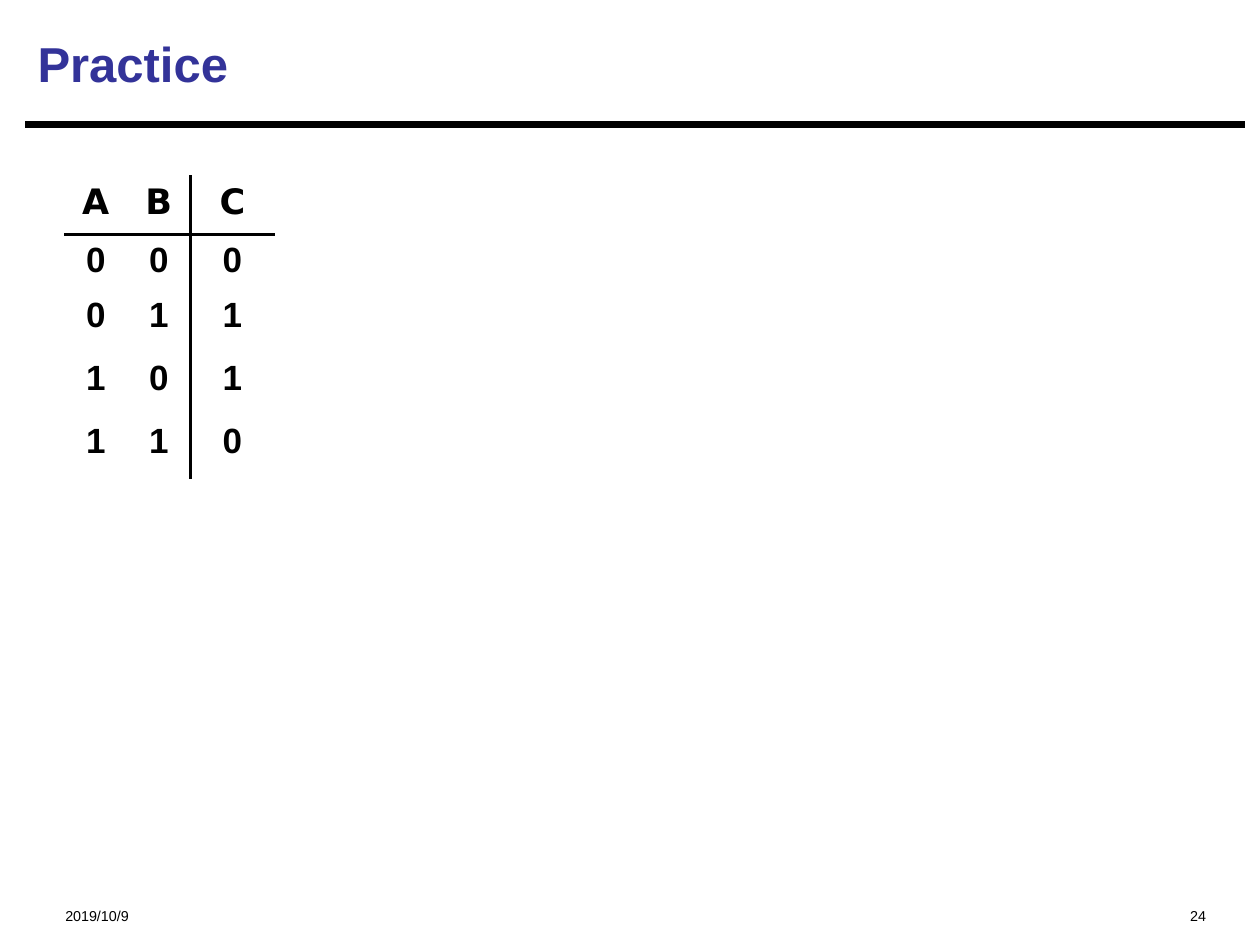
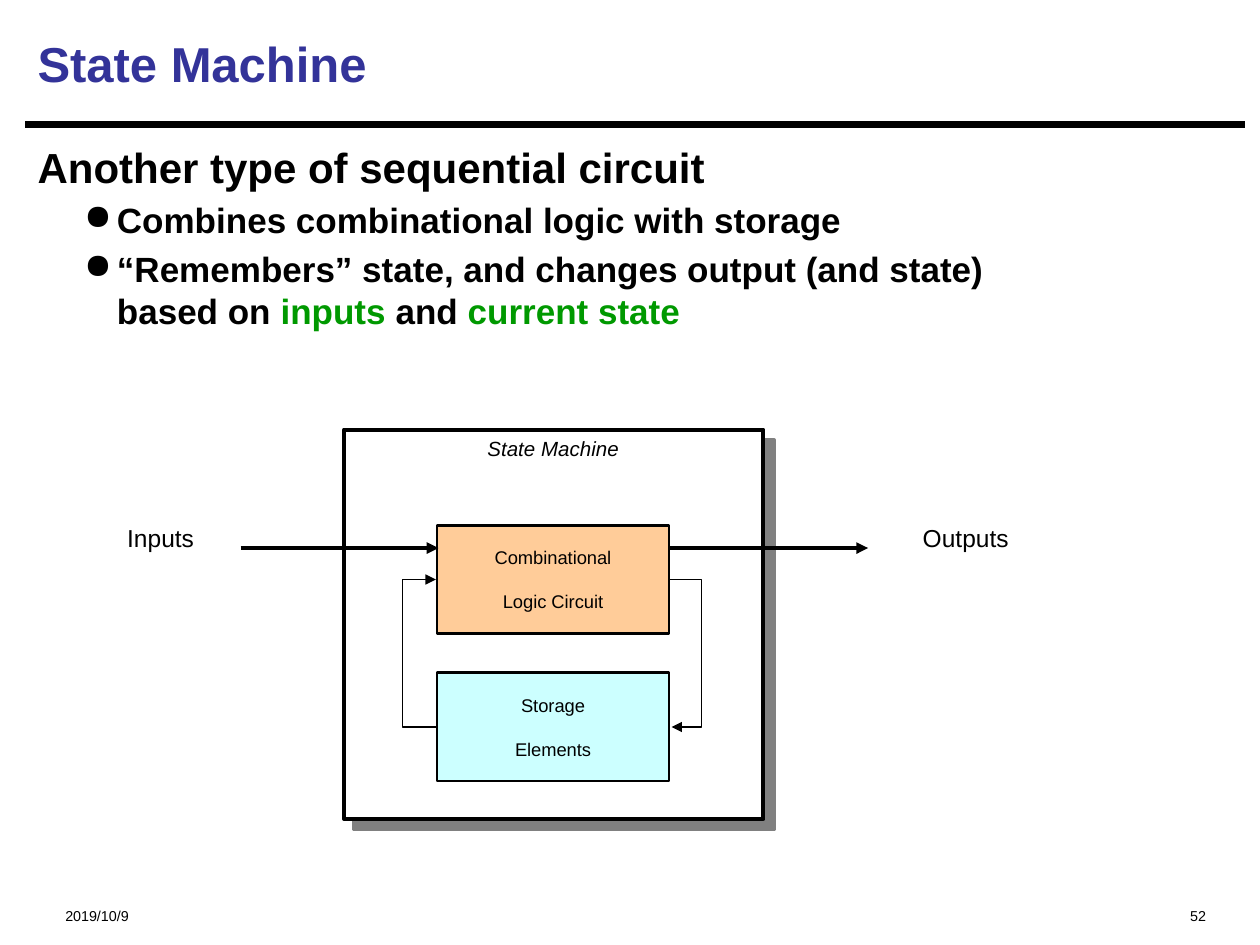
from lxml import etree
from pptx import Presentation
from pptx.dml.color import RGBColor
from pptx.enum.shapes import MSO_CONNECTOR, MSO_SHAPE
from pptx.enum.text import MSO_ANCHOR, PP_ALIGN
from pptx.oxml import parse_xml
from pptx.oxml.ns import nsdecls, qn
from pptx.util import Inches, Pt

BLACK = RGBColor(0x00, 0x00, 0x00)
WHITE = RGBColor(0xFF, 0xFF, 0xFF)
NAVY = RGBColor(0x33, 0x33, 0x99)
GREEN = RGBColor(0x00, 0x99, 0x00)
PEACH = RGBColor(0xFF, 0xCC, 0x99)
AQUA = RGBColor(0xCC, 0xFF, 0xFF)
FONT, HEAD_FONT = "Arial", "DejaVu Sans"
LEFT, CENTER, RIGHT = PP_ALIGN.LEFT, PP_ALIGN.CENTER, PP_ALIGN.RIGHT

# Content
DATE = "2019/10/9"
TRUTH_TABLE = ["ABC", "000", "011", "101", "110"]
COL_WIDTHS = [0.5, 0.5, 0.67]
ROW_HEIGHTS = [0.47, 0.44, 0.5, 0.5, 0.5]
# Body: (level, runs of (text, colour))
BODY = [
    (0, [("Another type of sequential circuit", BLACK)]),
    (1, [("Combines combinational logic with storage", BLACK)]),
    (1, [("“Remembers” state, and changes output (and state) \vbased on ", BLACK),
         ("inputs", GREEN), (" and ", BLACK), ("current state", GREEN)]),
]
# Diagram labels: text, box, size, italic
LABELS = [
    ("State Machine", (3.4, 3.41, 1.98, 0.43), 11.7, True),
    ("Inputs", (0.72, 4.1, 1.11, 0.5), 14, False),
    ("Outputs", (6.98, 4.1, 1.37, 0.5), 14, False),
]
MACHINE_BOX = (2.73, 3.41, 3.33, 3.09)
BLOCK_X, BLOCK_W, BLOCK_H = 3.47, 1.84, 0.86
# Blocks: lines, top, fill
BLOCKS = [
    (("Combinational", "Logic Circuit"), 4.17, PEACH),
    (("Storage", "Elements"), 5.34, AQUA),
]
FLOW_Y, FLOW_LENGTH = 4.35, 1.57
FLOW_STARTS = [1.91, 5.32]
# Feedback loops: start, end, bend as a multiple of the connector's width
LOOPS = [
    ((5.32, 4.6), (5.33, 5.77), 25),
    ((3.47, 5.77), (3.46, 4.6), 28),
]


def add_run(p, text, size, color=BLACK, bold=False, italic=False, font=FONT):
    for i, part in enumerate(text.split("\v")):
        if i:
            p.add_line_break()
        r = p.add_run()
        r.text = part
        f = r.font
        f.name, f.size, f.bold, f.italic = font, Pt(size), bold, italic
        f.color.rgb = color


def add_box(s, box, wrap=True):
    tf = s.shapes.add_textbox(*map(Inches, box)).text_frame
    tf.word_wrap = wrap
    return tf


def add_lines(tf, lines, size, align=CENTER, italic=False):
    """Small text, each line preceded by a full line of space."""
    for i, text in enumerate(lines):
        p = tf.add_paragraph() if i else tf.paragraphs[0]
        p.alignment = align
        p.space_before = Pt(round(1.2 * size, 1))
        add_run(p, text, size, italic=italic)


def add_line(s, start, end, width, kind=MSO_CONNECTOR.STRAIGHT, arrow=False):
    c = s.shapes.add_connector(kind, *map(Inches, start + end))
    c.line.color.rgb, c.line.width = BLACK, Pt(width)
    if arrow:
        etree.SubElement(c.line._get_or_add_ln(), qn("a:tailEnd"), type="triangle")
    etree.SubElement(c._element.spPr, qn("a:effectLst"))
    return c


def add_rect(s, box, fill, width):
    sp = s.shapes.add_shape(MSO_SHAPE.RECTANGLE, *map(Inches, box))
    sp.shadow.inherit = False
    sp.fill.solid()
    sp.fill.fore_color.rgb = fill
    sp.line.color.rgb, sp.line.width = BLACK, Pt(width)
    return sp


def add_slide(prs, title, number):
    """Blank slide with the shared title, rule and footers."""
    s = prs.slides.add_slide(prs.slide_layouts[6])
    add_line(s, (0.2, 0.99), (9.88, 0.99), 3.75)
    add_lines(add_box(s, (0.42, 7.15, 2.5, 0.27)), [DATE], 8.2, LEFT)
    add_lines(add_box(s, (6.67, 7.15, 3, 0.27)), [number], 8.2, RIGHT)
    tf = add_box(s, (0.2, 0.08, 9.67, 0.84))
    tf.vertical_anchor = MSO_ANCHOR.MIDDLE
    add_run(tf.paragraphs[0], title, 28, NAVY, bold=True)
    return s


def set_borders(cell, sides):
    """Rule the given sides; the others get no line."""
    tcPr = cell._tc.get_or_add_tcPr()
    for i, side in enumerate("LRTB"):
        ink = f'<a:solidFill><a:srgbClr val="{BLACK}"/></a:solidFill>' if side in sides else "<a:noFill/>"
        tcPr.insert(i, parse_xml(f'<a:ln{side} {nsdecls("a")} w="{Pt(2.25)}">{ink}</a:ln{side}>'))


def add_truth_table(s):
    size = sum(COL_WIDTHS), sum(ROW_HEIGHTS)
    frame = s.shapes.add_table(len(TRUTH_TABLE), len(COL_WIDTHS),
                               *map(Inches, (0.51, 1.39) + size))
    table = frame.table
    table.first_row = table.horz_banding = False
    for col, width in zip(table.columns, COL_WIDTHS):
        col.width = Inches(width)
    for i, (row, height) in enumerate(zip(TRUTH_TABLE, ROW_HEIGHTS)):
        table.rows[i].height = Inches(height)
        for j, value in enumerate(row):
            cell = table.cell(i, j)
            cell.fill.background()
            p = cell.text_frame.paragraphs[0]
            p.alignment = CENTER
            add_run(p, value, 20, bold=True, font=FONT if i else HEAD_FONT)
            # Rules below the header and left of the output column
            set_borders(cell, ("", "R", "L")[j] + {0: "B", 1: "T"}.get(i, ""))


def add_body(s):
    tf = add_box(s, (0.2, 1.07, 9.67, 5.99))
    for i, (level, runs) in enumerate(BODY):
        p = tf.add_paragraph() if i else tf.paragraphs[0]
        p.level = level
        size = 20 if level else 24
        p.space_before = Pt(0.2 * size)
        if level:
            pPr = p._p.get_or_add_pPr()
            pPr.set("marL", str(Inches(0.63)))
            pPr.set("indent", str(Inches(-0.26)))
            etree.SubElement(pPr, qn("a:buChar"), char="●")
        for text, color in runs:
            add_run(p, text, size, color, bold=True)


def add_diagram(s):
    # Outer box with a hard grey shadow
    machine = add_rect(s, MACHINE_BOX, WHITE, 2.25)
    effects = machine._element.spPr.find(qn("a:effectLst"))
    effects.append(parse_xml(
        f'<a:outerShdw {nsdecls("a")} dist="{Pt(8.5)}" dir="{45 * 60000}" algn="ctr"'
        ' rotWithShape="0"><a:srgbClr val="808080"/></a:outerShdw>'))

    for lines, top, fill in BLOCKS:
        tf = add_rect(s, (BLOCK_X, top, BLOCK_W, BLOCK_H), fill, 1.5).text_frame
        tf.word_wrap = False
        tf.vertical_anchor = MSO_ANCHOR.MIDDLE
        add_lines(tf, lines, 10.5)
    for text, box, size, italic in LABELS:
        add_lines(add_box(s, box, wrap=False), [text], size, italic=italic)

    # Input and output arrows, then the feedback loops
    for x in FLOW_STARTS:
        add_line(s, (x, FLOW_Y), (x + FLOW_LENGTH, FLOW_Y), 2.25, arrow=True)
    for start, end, bend in LOOPS:
        c = add_line(s, start, end, 0.75, MSO_CONNECTOR.ELBOW, arrow=True)
        avLst = c._element.spPr.find(qn("a:prstGeom")).get_or_add_avLst()
        etree.SubElement(avLst, qn("a:gd"), name="adj1", fmla=f"val {bend * 100000}")


def main():
    prs = Presentation()
    prs.slide_width, prs.slide_height = Inches(10), Inches(7.5)
    add_truth_table(add_slide(prs, "Practice", "24"))
    s = add_slide(prs, "State Machine", "52")
    add_body(s)
    add_diagram(s)
    prs.save("out.pptx")


if __name__ == "__main__":
    main()
